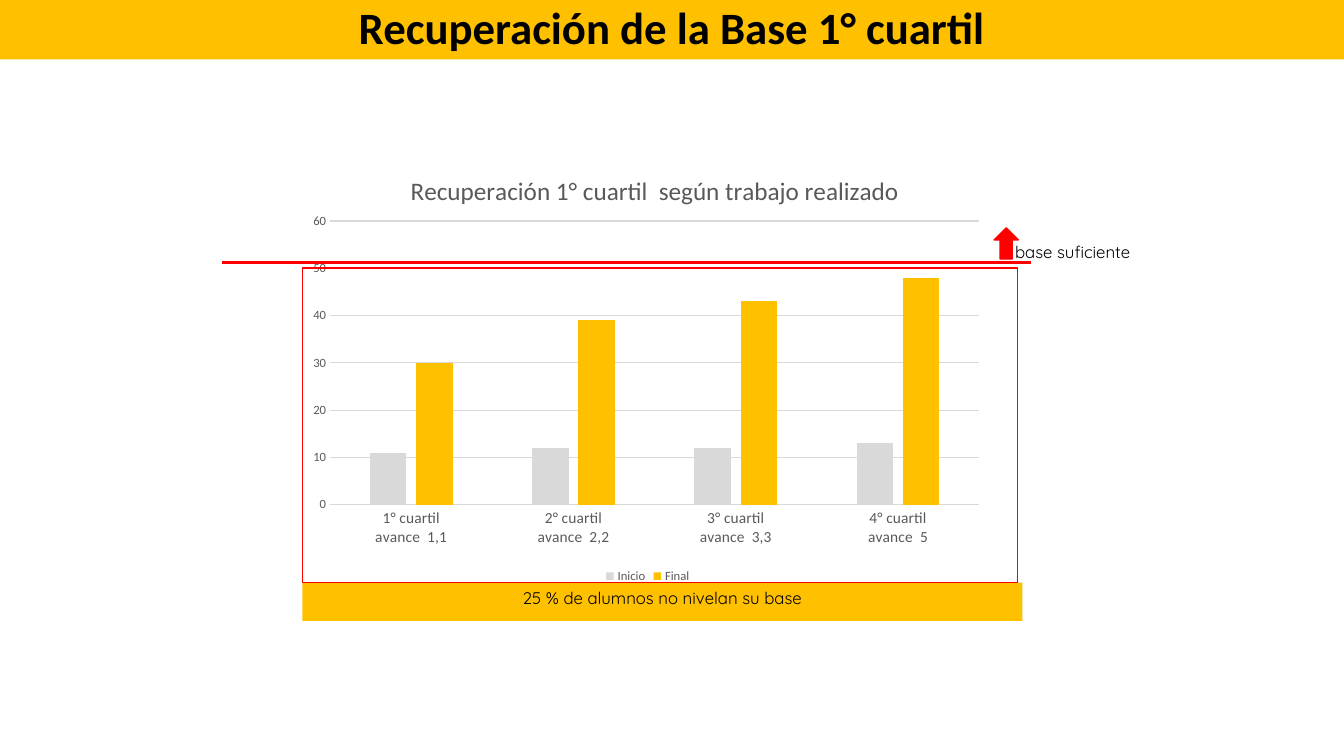
from lxml.etree import SubElement
from pptx import Presentation
from pptx.chart.data import CategoryChartData
from pptx.dml.color import RGBColor
from pptx.enum.chart import XL_CHART_TYPE as ChartType, XL_LEGEND_POSITION as LegendPos, XL_TICK_MARK as Tick
from pptx.enum.shapes import MSO_CONNECTOR as Connector, MSO_SHAPE as Shape
from pptx.enum.text import MSO_ANCHOR as Anchor, PP_ALIGN as Align
from pptx.oxml.ns import qn
from pptx.util import Inches, Pt

AMBER = RGBColor(0xFF, 0xC0, 0x00)
RED = RGBColor(0xFF, 0x00, 0x00)
BLACK = RGBColor(0x00, 0x00, 0x00)
DARK_GREY = RGBColor(0x59, 0x59, 0x59)
LIGHT_GREY = RGBColor(0xD9, 0xD9, 0xD9)

HEADING = "Recuperación de la Base 1° cuartil"
CHART_TITLE = "Recuperación 1° cuartil  según trabajo realizado"
THRESHOLD = "base suficiente"
CONCLUSION = "25 % de alumnos no nivelan su base"
PROGRESS = ["1,1", "2,2", "3,3", "5"]
SERIES = [
    ("Inicio", [11, 12, 12, 13], LIGHT_GREY),
    ("Final", [30, 39, 43, 48], AMBER),
]


def add_box(slide, preset, box, fill=None, line=None):
    """Add a flat preset shape; box is left, top, width, height in inches."""
    shape = slide.shapes.add_shape(preset, *map(Inches, box))
    shape.shadow.inherit = False
    if fill is None:
        shape.fill.background()
    else:
        shape.fill.solid()
        shape.fill.fore_color.rgb = fill
    if line is None:
        shape.line.fill.background()
    else:
        shape.line.color.rgb = line
        shape.line.width = Pt(1)
    return shape


def set_font(font, name, size, color, bold=False):
    """Set the face, size, colour and weight of a font."""
    font.name, font.size, font.bold = name, Pt(size), bold
    font.color.rgb = color


def write(shape, text, name, size, align, anchor=Anchor.TOP, bold=False):
    """Fill a shape with one black paragraph."""
    frame = shape.text_frame
    frame.vertical_anchor = anchor
    paragraph = frame.paragraphs[0]
    paragraph.text = text
    paragraph.alignment = align
    set_font(paragraph.font, name, size, BLACK, bold)
    return paragraph


def place(element, position, **fractions):
    """Give a chart part a manual layout in fractions of the chart."""
    for old in element.findall(qn("c:layout")):
        element.remove(old)
    layout = SubElement(element, qn("c:layout"))
    manual = SubElement(layout, qn("c:manualLayout"))
    if "w" in fractions:
        SubElement(manual, qn("c:layoutTarget")).set("val", "inner")
    for axis in "xy":
        SubElement(manual, qn(f"c:{axis}Mode")).set("val", "edge")
    for key, value in fractions.items():
        SubElement(manual, qn(f"c:{key}")).set("val", str(value))
    element.insert(position, layout)


def add_progress_chart(slide):
    """Add the column chart comparing start and end by quartile."""
    data = CategoryChartData()
    data.categories = [f"{n}° cuartil\navance  {gain}" for n, gain in enumerate(PROGRESS, 1)]
    for name, values, _ in SERIES:
        data.add_series(name, values)
    box = map(Inches, (3, 1.5, 6.85, 4.33))
    chart = slide.shapes.add_chart(ChartType.COLUMN_CLUSTERED, *box, data).chart
    set_font(chart.font, "Calibri", 10, BLACK)

    chart.has_title = True
    title = chart.chart_title
    title.include_in_layout = False
    paragraph = title.text_frame.paragraphs[0]
    paragraph.text = CHART_TITLE
    set_font(paragraph.font, "Calibri", 18, DARK_GREY)
    place(title._element, 1, x=0.15, y=0.04)

    plot = chart.plots[0]
    plot.gap_width, plot.overlap, plot.vary_by_categories = 219, -27, False
    for series, (_, _, color) in zip(plot.series, SERIES):
        series.format.fill.solid()
        series.format.fill.fore_color.rgb = color
    place(chart._chartSpace.chart.plotArea, 0, x=0.04, y=0.16, w=0.94, h=0.65)

    quartiles, scores = chart.category_axis, chart.value_axis
    for axis, size in ((quartiles, 11), (scores, 9)):
        axis.major_tick_mark = axis.minor_tick_mark = Tick.NONE
        set_font(axis.tick_labels.font, "Calibri", size, DARK_GREY)
    scores.minimum_scale, scores.maximum_scale, scores.major_unit = 0, 60, 10
    scores.format.line.fill.background()
    for line in (quartiles.format.line, scores.major_gridlines.format.line):
        line.color.rgb = LIGHT_GREY
        line.width = Pt(0.75)

    chart.has_legend = True
    chart.legend.position = LegendPos.BOTTOM
    chart.legend.include_in_layout = False
    set_font(chart.legend.font, "Calibri", 9, DARK_GREY)


def add_threshold(slide):
    """Mark the sufficient level with a line, an arrow and a label."""
    add_box(slide, Shape.UP_ARROW, (9.86, 2.26, 0.24, 0.31), RED, RED)
    ends = map(Inches, (2.2, 2.6, 10.23, 2.6))
    level = slide.shapes.add_connector(Connector.STRAIGHT, *ends)
    level.line.color.rgb = RED
    level.line.width = Pt(2.25)
    SubElement(level._element.spPr, qn("a:effectLst"))
    label = slide.shapes.add_textbox(*map(Inches, (9.97, 2.35, 1.43, 0.3)))
    label.text_frame.word_wrap = False
    write(label, THRESHOLD, "Quicksand", 12, Align.LEFT)


prs = Presentation()
prs.slide_width, prs.slide_height = Inches(13.33), Inches(7.5)
slide = prs.slides.add_slide(prs.slide_layouts[6])

banner = add_box(slide, Shape.RECTANGLE, (0, 0, 13.33, 0.59), AMBER)
heading = write(banner, HEADING, "Calibri", 32, Align.CENTER, Anchor.MIDDLE, True)
heading.line_spacing = 0.9
add_progress_chart(slide)
add_threshold(slide)
conclusion = add_box(slide, Shape.RECTANGLE, (3, 5.78, 7.14, 0.38), AMBER)
write(conclusion, CONCLUSION, "Quicksand", 12, Align.CENTER)
add_box(slide, Shape.RECTANGLE, (3, 2.66, 7.09, 3.12), line=RED)

prs.save("out.pptx")
